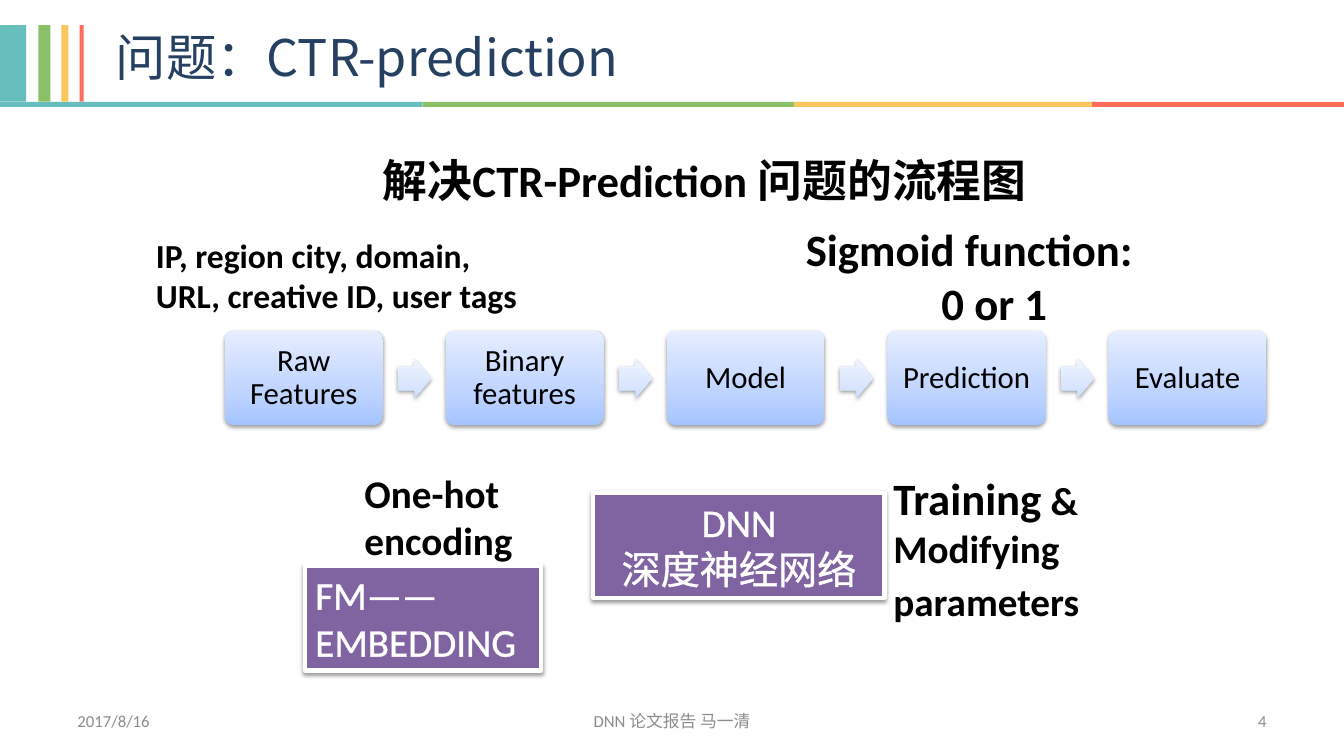
"""Builds the slide on the CTR-prediction workflow."""
from copy import deepcopy

from lxml.etree import SubElement
from pptx import Presentation
from pptx.dml.color import RGBColor
from pptx.enum.shapes import MSO_SHAPE
from pptx.enum.text import MSO_ANCHOR, PP_ALIGN
from pptx.oxml import parse_xml
from pptx.oxml.ns import nsdecls, qn
from pptx.util import Pt

LATIN, CHINESE = "Calibri", "Noto Sans CJK SC"
TEAL, GREEN, YELLOW, CORAL = "66BFBC", "8CC066", "FBC75D", "FC6E5B"
NAVY, BLACK, WHITE, GREY, PURPLE = "254061", "000000", "FFFFFF", "8C8C8C", "8064A2"
STEP_GRADIENT = [(0, "A4C4FF"), (0.35, "BFD4FF"), (1, "E6EEFF")]
ARROW_GRADIENT = [(0, "CDDDFE"), (0.35, "DBE6FE"), (1, "F0F5FF")]
SHADOW = (f'<a:outerShdw {nsdecls("a")} blurRad="{Pt(3.1)}" dist="{Pt(1.6)}" dir="5400000" '
          'rotWithShape="0"><a:srgbClr val="000000"><a:alpha val="38000"/></a:srgbClr></a:outerShdw>')
OUTLINE = (f'<a:ln {nsdecls("a")} w="{Pt(1.45)}"><a:solidFill><a:srgbClr val="FFFFFF"/>'
           '</a:solidFill></a:ln>')


def color(value):
    return RGBColor.from_string(value)


class Deck:
    def __init__(self, width, height):
        self.show = Presentation()
        self.show.slide_width, self.show.slide_height = Pt(width), Pt(height)
        self.slide = self.show.slides.add_slide(self.show.slide_layouts[6])

    def fill_text(self, holder, paragraphs, ink=BLACK, font=LATIN, size=28, bold=False,
                  align=PP_ALIGN.LEFT, anchor=MSO_ANCHOR.TOP, spacing=None, outlined=False,
                  inset=None):
        frame = holder.text_frame
        layout = {"word_wrap": True, "vertical_anchor": anchor}
        if inset is not None:
            layout |= {f"margin_{side}": Pt(inset) for side in ("left", "right", "top", "bottom")}
        for name, value in layout.items():
            setattr(frame, name, value)
        for index, content in enumerate(paragraphs):
            paragraph = frame.add_paragraph() if index else frame.paragraphs[0]
            paragraph.alignment = align[index] if isinstance(align, list) else align
            paragraph.line_spacing = spacing
            runs = [(content, size)] if isinstance(content, str) else content
            for words, points in runs:
                run = paragraph.add_run()
                run.text = words
                for name, value in {"name": font, "size": Pt(points), "bold": bold}.items():
                    setattr(run.font, name, value)
                run.font.color.rgb = color(ink)
                properties = run.font._element
                SubElement(properties, qn("a:ea"), typeface=CHINESE)
                if outlined:
                    properties.insert(0, parse_xml(OUTLINE))

    def text(self, left, top, width, height, *paragraphs, **style):
        box = self.slide.shapes.add_textbox(Pt(left), Pt(top), Pt(width), Pt(height))
        self.fill_text(box, paragraphs, **style)

    def shape(self, kind, left, top, width, height, fill, adjustments=(), border=None, shadow=False):
        shape = self.slide.shapes.add_shape(kind, Pt(left), Pt(top), Pt(width), Pt(height))
        for index, value in enumerate(adjustments):
            shape.adjustments[index] = value
        if isinstance(fill, str):
            shape.fill.solid()
            shape.fill.fore_color.rgb = color(fill)
        else:
            self.blend(shape, fill)
        if border:
            shape.line.color.rgb = color(border)
            shape.line.width = Pt(3)
        else:
            shape.line.fill.background()
        shape.shadow.inherit = False
        if shadow:
            shape.element.spPr.find(qn("a:effectLst")).append(parse_xml(SHADOW))
        return shape

    def blend(self, shape, gradient):
        shape.fill.gradient()
        shape.fill.gradient_angle = 90
        stops = shape.element.spPr.find(qn("a:gradFill")).find(qn("a:gsLst"))
        stops.append(deepcopy(stops[0]))
        for stop, (position, tint) in zip(shape.fill.gradient_stops, gradient):
            stop.position = position
            stop.color.rgb = color(tint)

    def bar(self, left, top, width, height, fill):
        self.shape(MSO_SHAPE.RECTANGLE, left, top, width, height, fill)

    def step(self, left, label):
        box = self.shape(MSO_SHAPE.ROUNDED_RECTANGLE, left, 236.2, 113, 67.7,
                         STEP_GRADIENT, [0.1], shadow=True)
        self.fill_text(box, [label], size=22, align=PP_ALIGN.CENTER, anchor=MSO_ANCHOR.MIDDLE,
                       spacing=0.9, inset=8.5)

    def arrow(self, left):
        self.shape(MSO_SHAPE.RIGHT_ARROW, left, 256.3, 23.8, 28.1,
                   ARROW_GRADIENT, [0.6, 0.5], shadow=True)

    def method(self, left, top, width, *paragraphs, align=PP_ALIGN.LEFT):
        box = self.shape(MSO_SHAPE.RECTANGLE, left, top, width, 75, PURPLE,
                         border=WHITE, shadow=True)
        self.fill_text(box, paragraphs, ink=WHITE, align=align, outlined=True)


def main():
    deck = Deck(960.5, 540)
    deck.text(75.6, 15.1, 699, 51, "问题：CTR-prediction", ink=NAVY, font=CHINESE, size=36)
    stripes = [(0, 18.7, 0, 302, TEAL), (27.4, 8.6, 302.4, 265, GREEN),
               (43.9, 5, 567.4, 215, YELLOW), (56.9, 2.9, 780.5, 180, CORAL)]
    for left, width, rule_left, rule_width, tint in stripes:
        deck.bar(left, 18, width, 54.7, tint)
        deck.bar(rule_left, 72.7, rule_width, 3.6, tint)

    deck.text(136.8, 105.8, 733.7, 46, "解决CTR-Prediction 问题的流程图",
              size=32, bold=True, align=PP_ALIGN.CENTER)
    steps = ["Raw Features", "Binary features", "Model", "Prediction", "Evaluate"]
    for index, label in enumerate(steps):
        left = 160.6 + 157.9 * index
        deck.step(left, label)
        if index < len(steps) - 1:
            deck.arrow(left + 123.8)

    deck.text(253.4, 331.9, 124.6, 75, "One-hot encoding", bold=True)
    deck.text(631.4, 332.6, 158.4, 119,
              [("Training", 32), (" & Modifying parameters", 28), (" ", 32)], bold=True)
    deck.text(104.4, 164.2, 273.6, 65.5,
              "IP, region city, domain, URL, creative ID, user tags", size=24, bold=True)
    deck.text(568.8, 154.8, 283.7, 85, "Sigmoid function:", "0 or 1", size=32, bold=True,
              align=[PP_ALIGN.LEFT, PP_ALIGN.CENTER])
    footers = [(48.2, 224, "2017/8/16", PP_ALIGN.LEFT),
               (328.3, 304, "DNN 论文报告 马一清", PP_ALIGN.CENTER),
               (688.3, 224, "4", PP_ALIGN.RIGHT)]
    for left, width, words, align in footers:
        deck.text(left, 500.4, width, 28.8, words, ink=GREY, size=12, align=align,
                  anchor=MSO_ANCHOR.MIDDLE)
    deck.method(218.2, 403.9, 168.5, "FM——EMBEDDING")
    deck.method(424.1, 352.1, 208, "DNN", "深度神经网络", align=PP_ALIGN.CENTER)
    deck.show.save("out.pptx")


if __name__ == "__main__":
    main()
